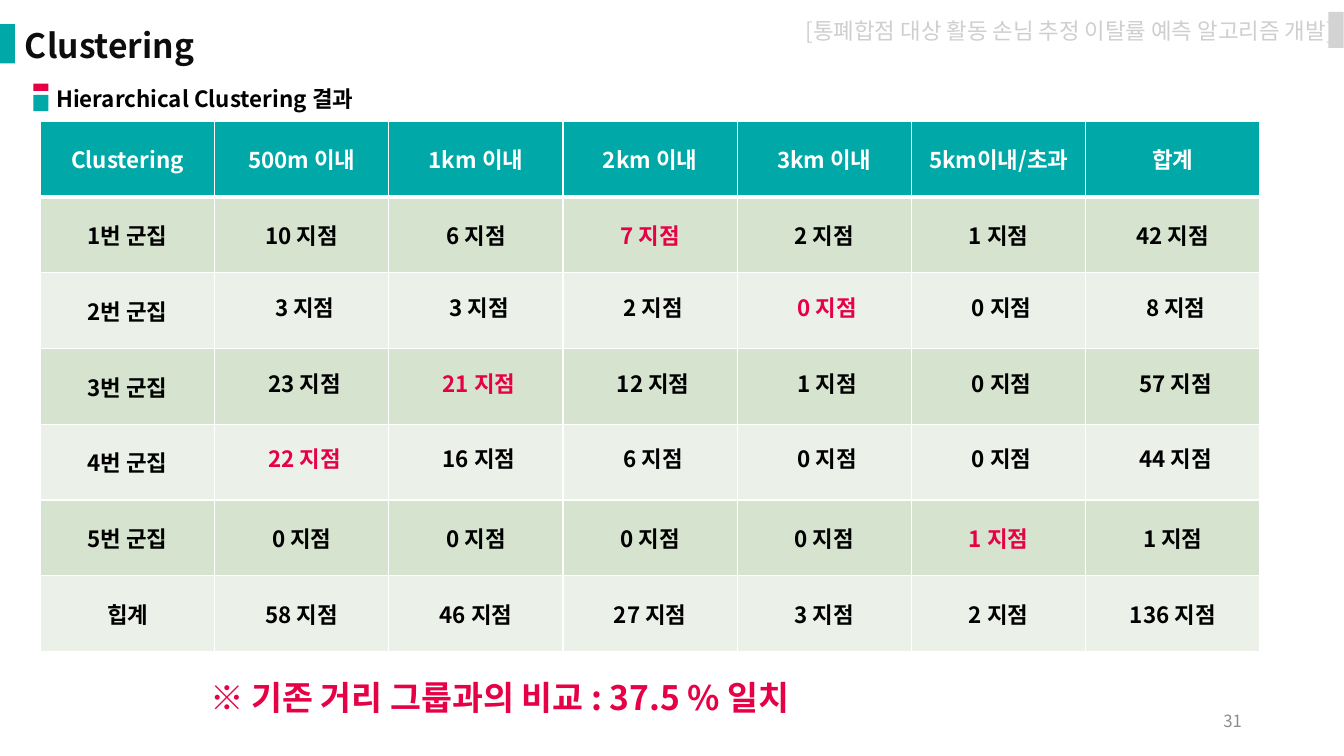
from lxml.etree import SubElement
from pptx import Presentation
from pptx.dml.color import RGBColor
from pptx.enum.shapes import MSO_SHAPE
from pptx.enum.text import MSO_ANCHOR, MSO_AUTO_SIZE, PP_ALIGN
from pptx.oxml.ns import qn
from pptx.util import Cm, Pt

FONT = "Noto Sans CJK KR"
COLORS = {
    "teal": "00A8A8", "red": "E60146", "gray": "D4D3D3", "project": "D0CECE",
    "number": "8C8C8C", "title": "0D0D0D", "black": "000000", "white": "FFFFFF",
    "band_dark": "D5E3CF", "band_light": "EBF1E9",
}
HEADERS = ["Clustering", "500m 이내", "1km 이내", "2km 이내", "3km 이내", "5km이내/초과", "합계"]
BRANCH_COUNTS = {
    "1번 군집": [10, 6, 7, 2, 1, 42],
    "2번 군집": [3, 3, 2, 0, 0, 8],
    "3번 군집": [23, 21, 12, 1, 0, 57],
    "4번 군집": [22, 16, 6, 0, 0, 44],
    "5번 군집": [0, 0, 0, 0, 1, 1],
    "힙계": [58, 46, 27, 3, 2, 136],
}
HIGHLIGHTS = {(1, 3), (2, 4), (3, 2), (4, 1), (5, 5)}
TIGHT = (0.02, 0.02, 0.02, 0)
RAISED = (0.15, 0, 0, 0.2)
FLUSH = (0, 0, 0, 0)
ROW_MARGINS = [TIGHT, RAISED, RAISED, RAISED, FLUSH, FLUSH]
SIDES = ("margin_left", "margin_top", "margin_right", "margin_bottom")


def color(name):
    """Return the named colour."""
    return RGBColor.from_string(COLORS[name])


def apply_format(target, values):
    """Set each attribute of the target from a dict."""
    for name, value in values.items():
        setattr(target, name, value)


def write_text(text_frame, text, size, color_name, bold=True, align=PP_ALIGN.LEFT):
    """Write one formatted paragraph."""
    paragraph = text_frame.paragraphs[0]
    paragraph.alignment = align
    run = paragraph.add_run()
    run.text = text
    apply_format(run.font, {"name": FONT, "size": Pt(size), "bold": bold})
    run.font.color.rgb = color(color_name)
    SubElement(run.font._element, qn("a:ea"), typeface=FONT)


def add_text(shapes, box, text, size, color_name, frame_format=None, **text_format):
    """Add a text box that grows with its text unless told otherwise."""
    text_frame = shapes.add_textbox(*map(Cm, box)).text_frame
    defaults = {"word_wrap": True, "auto_size": MSO_AUTO_SIZE.SHAPE_TO_FIT_TEXT}
    apply_format(text_frame, defaults | (frame_format or {}))
    write_text(text_frame, text, size, color_name, **text_format)


def add_bar(shapes, box, color_name):
    """Add a plain filled rectangle."""
    shape = shapes.add_shape(MSO_SHAPE.RECTANGLE, *map(Cm, box))
    shape.shadow.inherit = False
    shape.fill.solid()
    shape.fill.fore_color.rgb = color(color_name)
    shape.line.fill.background()


def set_borders(cell, widths):
    """Draw white borders of the given point widths around a cell."""
    properties = cell._tc.get_or_add_tcPr()
    for position, (side, width) in enumerate(widths.items()):
        line = properties.makeelement(qn(f"a:ln{side}"), {"w": str(Pt(width))})
        fill = SubElement(line, qn("a:solidFill"))
        SubElement(fill, qn("a:srgbClr"), val=COLORS["white"])
        properties.insert(position, line)


def fill_cell(cell, text, text_color, fill_color, widths, margins=None):
    """Format one table cell and write its text."""
    cell.vertical_anchor = MSO_ANCHOR.MIDDLE
    if margins:
        apply_format(cell, dict(zip(SIDES, map(Cm, margins))))
    cell.fill.solid()
    cell.fill.fore_color.rgb = color(fill_color)
    set_borders(cell, widths)
    write_text(cell.text_frame, text, 16, text_color, align=PP_ALIGN.CENTER)


def add_cluster_table(shapes):
    """Add the table of branch counts by cluster and distance."""
    row_count, column_count = len(BRANCH_COUNTS) + 1, len(HEADERS)
    box = map(Cm, (1.02, 3.05, 30.73, 13.36))
    table = shapes.add_table(row_count, column_count, *box).table
    for column in table.columns:
        column.width = Cm(4.39)
    for row in table.rows:
        row.height = Cm(1.91)
    for column, header in enumerate(HEADERS):
        fill_cell(table.cell(0, column), header, "white", "teal", {"L": 1, "R": 1, "T": 1, "B": 3})
    for row, (cluster, counts) in enumerate(BRANCH_COUNTS.items(), start=1):
        band = "band_dark" if row % 2 else "band_light"
        widths = {"L": 1, "R": 1, "T": 3 if row == 1 else 1, "B": 1}
        fill_cell(table.cell(row, 0), cluster, "black", band, widths)
        for column, count in enumerate(counts, start=1):
            text_color = "red" if (row, column) in HIGHLIGHTS else "black"
            fill_cell(table.cell(row, column), f"{count} 지점", text_color, band,
                      widths, ROW_MARGINS[row - 1])


def add_section_heading(shapes):
    """Add the grouped section heading with its two-colour marker."""
    group = shapes.add_group_shape().shapes
    add_text(group, (1.17, 2.03, 16.26, 0.94), "Hierarchical Clustering 결과", 16, "black")
    add_bar(group, (0.84, 2.39, 0.38, 0.41), "teal")
    add_bar(group, (0.84, 2.11, 0.38, 0.18), "red")


def main():
    """Build the clustering slide."""
    presentation = Presentation()
    apply_format(presentation, {"slide_width": Cm(33.87), "slide_height": Cm(19.05)})
    slide = presentation.slides.add_slide(presentation.slide_layouts[6])
    shapes = slide.shapes
    add_bar(shapes, (0, 0.61, 0.38, 0.99), "teal")
    add_text(shapes, (18.06, 0.3, 15.8, 0.94),
             "[통폐합점 대상 활동 손님 추정 이탈률 예측 알고리즘 개발]", 16, "project",
             bold=False, align=PP_ALIGN.RIGHT)
    add_bar(shapes, (33.48, 0.3, 0.38, 0.91), "gray")
    add_section_heading(shapes)
    add_text(shapes, (23.93, 17.65, 7.62, 1.02), "31", 12, "number",
             {"auto_size": MSO_AUTO_SIZE.NONE, "vertical_anchor": MSO_ANCHOR.MIDDLE},
             bold=False, align=PP_ALIGN.RIGHT)
    add_cluster_table(shapes)
    add_text(shapes, (5.05, 16.92, 18.21, 1.27), "※ 기존 거리 그룹과의 비교 : 37.5 % 일치", 24, "red")
    add_text(shapes, (0.38, 0.51, 13.46, 1.27), "Clustering", 24, "title")
    presentation.save("out.pptx")


if __name__ == "__main__":
    main()
